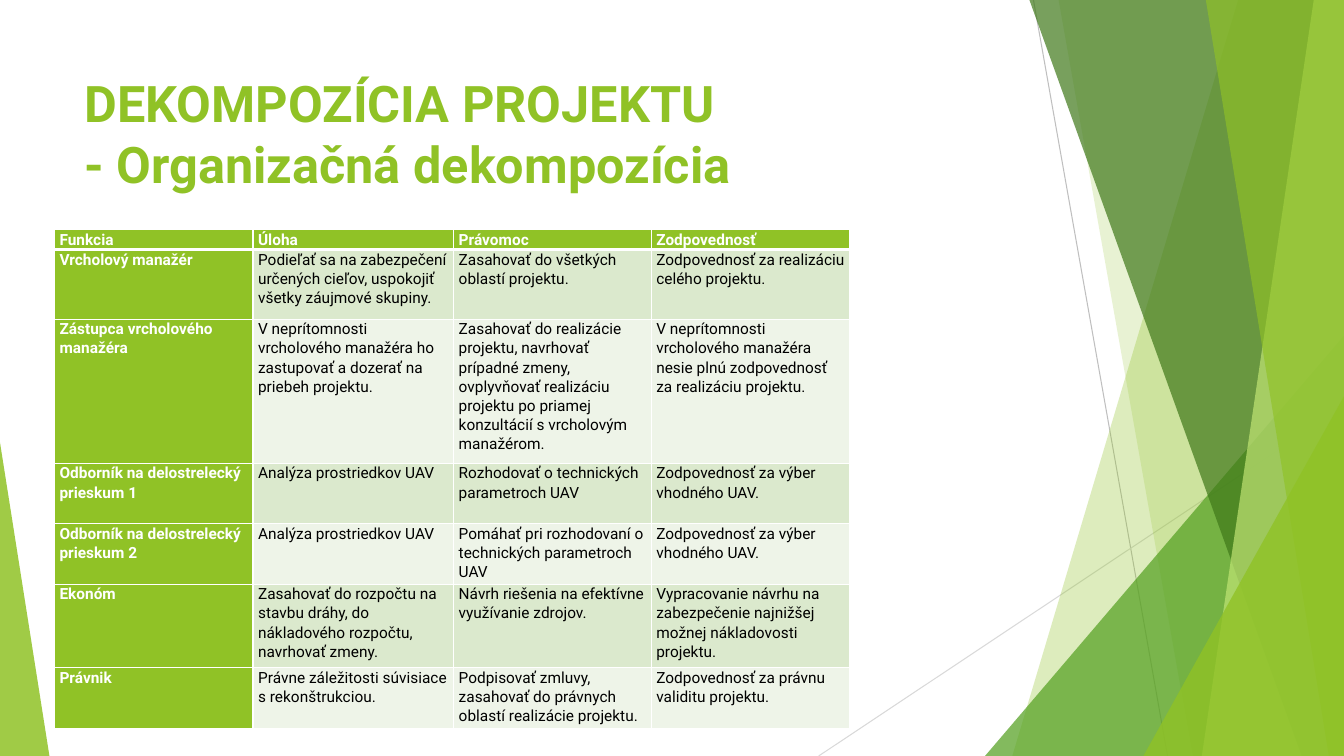
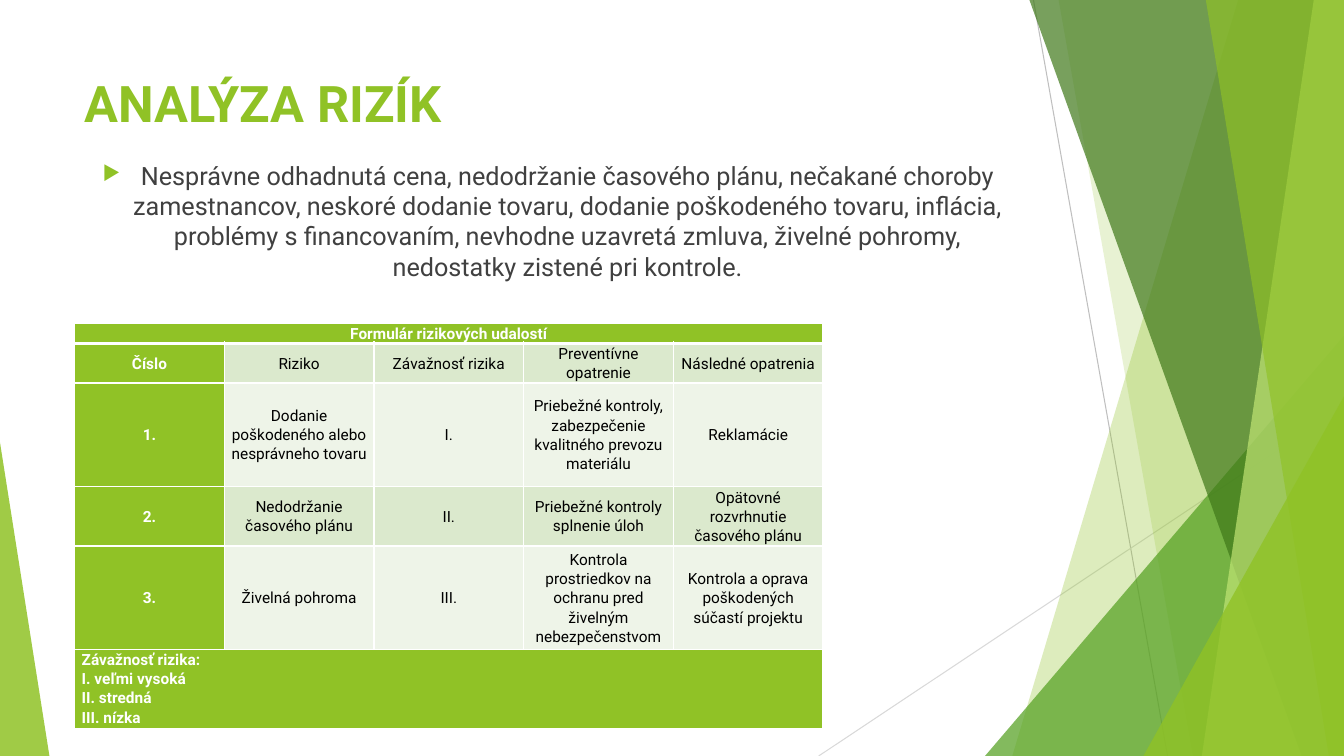
from dataclasses import dataclass

from lxml import etree
from pptx import Presentation
from pptx.dml.color import RGBColor
from pptx.enum import shapes, text
from pptx.oxml import ns
from pptx.util import Inches, Pt

FONT = "Roboto"
GREEN = RGBColor(0x90, 0xC2, 0x26)
MID_GREEN = RGBColor(0x54, 0xA0, 0x21)
DARK_GREEN = RGBColor(0x3F, 0x78, 0x19)
PALE_GREEN = RGBColor(0xC0, 0xE4, 0x74)
BANDS = (RGBColor(0xEE, 0xF4, 0xE8), RGBColor(0xDB, 0xE9, 0xCD))
WHITE = RGBColor(0xFF, 0xFF, 0xFF)
BLACK = RGBColor(0, 0, 0)
BODY_GRAY = RGBColor(0x40, 0x40, 0x40)
LINE_GRAY = RGBColor(0xBF, 0xBF, 0xBF)
LIGHT_GRAY = RGBColor(0xD9, 0xD9, 0xD9)

WIDTH, HEIGHT = 13.33, 7.5
LEFT = text.PP_ALIGN.LEFT
CENTER = text.PP_ALIGN.CENTER
TOP = text.MSO_ANCHOR.TOP
MIDDLE = text.MSO_ANCHOR.MIDDLE


@dataclass(frozen=True)
class Ray:
    start: tuple[float, float]
    end: tuple[float, float]
    color: RGBColor


@dataclass(frozen=True)
class Band:
    """A band on the right edge, given by the x of its slanted left side."""
    top_x: float
    bottom_x: float
    color: RGBColor
    alpha: int


@dataclass(frozen=True)
class Corner:
    """A triangle on the bottom edge; apex 0 is its left side, 1 its right."""
    left: float
    top: float
    width: float
    apex: float
    color: RGBColor
    alpha: int


@dataclass(frozen=True)
class TableSpec:
    left: float
    top: float
    cols: list[float]
    rows: list[float]
    cells: list[list[str]]
    margin: float
    align: text.PP_ALIGN = LEFT
    anchor: text.MSO_ANCHOR = TOP


RAYS = [
    Ray((10.25, 0), (11.58, HEIGHT), LINE_GRAY),
    Ray((WIDTH, 4.03), (8.12, HEIGHT), LIGHT_GRAY),
]
FACETS = [
    Band(12.28, 10.04, GREEN, 30),
    Band(10.5, 11.83, GREEN, 20),
    Corner(9.77, 3.33, 3.56, 1, MID_GREEN, 72),
    Band(10.21, 12.91, DARK_GREEN, 70),
    Band(13.03, 11.92, PALE_GREEN, 70),
    Band(11.96, 13.18, GREEN, 65),
    Corner(11.34, 3.93, 1.99, 1, GREEN, 80),
    Corner(0, 4.39, 0.49, 0, GREEN, 85),
]

ROLES = TableSpec(
    0.54, 2.28,
    [1.97, 1.99, 1.96, 1.97],
    [0.19, 0.69, 1.43, 0.6, 0.6, 0.83, 0.6],
    [
        ["Funkcia", "Úloha", "Právomoc", "Zodpovednosť"],
        ["Vrcholový manažér",
         "Podieľať sa na zabezpečení určených cieľov, uspokojiť všetky záujmové skupiny.",
         "Zasahovať do všetkých oblastí projektu.",
         "Zodpovednosť za realizáciu celého projektu."],
        ["Zástupca vrcholového manažéra",
         "V neprítomnosti vrcholového manažéra ho zastupovať a dozerať na priebeh projektu.",
         "Zasahovať do realizácie projektu, navrhovať prípadné zmeny, ovplyvňovať realizáciu "
         "projektu po priamej konzultácií s vrcholovým manažérom.",
         "V neprítomnosti vrcholového manažéra nesie plnú zodpovednosť za realizáciu projektu."],
        ["Odborník na delostrelecký prieskum 1",
         "Analýza prostriedkov UAV",
         "Rozhodovať o technických parametroch UAV",
         "Zodpovednosť za výber vhodného UAV."],
        ["Odborník na delostrelecký prieskum 2",
         "Analýza prostriedkov UAV",
         "Pomáhať pri rozhodovaní o technických parametroch UAV",
         "Zodpovednosť za výber vhodného UAV."],
        ["Ekonóm",
         "Zasahovať do rozpočtu na stavbu dráhy, do nákladového rozpočtu, navrhovať zmeny.",
         "Návrh riešenia na efektívne využívanie zdrojov.",
         "Vypracovanie návrhu na zabezpečenie najnižšej možnej nákladovosti projektu."],
        ["Právnik",
         "Právne záležitosti súvisiace s rekonštrukciou.",
         "Podpisovať zmluvy, zasahovať do právnych oblastí realizácie projektu.",
         "Zodpovednosť za právnu validitu projektu."],
    ],
    margin=0.05,
)

# A row with a single entry spans the whole table
RISKS = TableSpec(
    0.74, 3.21,
    [1.485] * 5,
    [0.16, 0.34, 1.03, 0.51, 1.03, 0.68],
    [
        ["Formulár rizikových udalostí"],
        ["Číslo", "Riziko", "Závažnosť rizika", "Preventívne opatrenie", "Následné opatrenia"],
        ["1.", "Dodanie poškodeného alebo nesprávneho tovaru", "I.",
         "Priebežné kontroly, zabezpečenie kvalitného prevozu materiálu", "Reklamácie"],
        ["2.", "Nedodržanie časového plánu", "II.",
         "Priebežné kontroly splnenie úloh", "Opätovné rozvrhnutie časového plánu"],
        ["3.", "Živelná pohroma", "III.",
         "Kontrola prostriedkov na ochranu pred živelným nebezpečenstvom",
         "Kontrola a oprava poškodených súčastí projektu"],
        ["Závažnosť rizika:\nI. veľmi vysoká\nII. stredná\nIII. nízka"],
    ],
    margin=0.07, align=CENTER, anchor=MIDDLE,
)

RISK_SUMMARY = (
    "Nesprávne odhadnutá cena, nedodržanie časového plánu, nečakané choroby zamestnancov, "
    "neskoré dodanie tovaru, dodanie poškodeného tovaru, inflácia, problémy s financovaním, "
    "nevhodne uzavretá zmluva, živelné pohromy, nedostatky zistené pri kontrole."
)


def add_xml(parent, tag: str, **attrs: str):
    return etree.SubElement(parent, ns.qn(tag), attrs)


# Text
def add_bullet(p) -> None:
    pPr = p._p.get_or_add_pPr()
    pPr.set("marL", str(Inches(0.38)))
    pPr.set("indent", str(-Inches(0.38)))
    add_xml(add_xml(pPr, "a:buClr"), "a:srgbClr", val=str(GREEN))
    add_xml(pPr, "a:buSzPct", val="80000")
    add_xml(pPr, "a:buChar", char="▶")


def write(tf, content: str, *, size: float, color: RGBColor, bold: bool = False,
          align: text.PP_ALIGN = LEFT, spacing: float | None = None,
          bullet: bool = False) -> None:
    tf.word_wrap = True
    for i, line in enumerate(content.split("\n")):
        p = tf.paragraphs[0] if i == 0 else tf.add_paragraph()
        p.alignment = align
        if spacing:
            p.line_spacing = spacing
        if bullet:
            add_bullet(p)
        r = p.add_run()
        r.text = line
        r.font.name = FONT
        r.font.size = Pt(size)
        r.font.bold = bold
        r.font.color.rgb = color


def add_text(slide, top: float, height: float, content: str, **style) -> None:
    box = slide.shapes.add_textbox(Inches(0.74), Inches(top), Inches(9.4), Inches(height))
    write(box.text_frame, content, **style)


# Shared decoration
def add_ray(slide, ray: Ray) -> None:
    points = [Inches(v) for v in ray.start + ray.end]
    line = slide.shapes.add_connector(shapes.MSO_CONNECTOR.STRAIGHT, *points)
    line.line.color.rgb = ray.color
    line.line.width = Pt(0.75)
    add_xml(line._element.spPr, "a:effectLst")


def add_facet(slide, facet: Band | Corner) -> None:
    if isinstance(facet, Band):
        builder = slide.shapes.build_freeform(Inches(facet.top_x), 0)
        corners = [(WIDTH, 0), (WIDTH, HEIGHT), (facet.bottom_x, HEIGHT)]
        builder.add_line_segments([(Inches(x), Inches(y)) for x, y in corners], close=True)
        sp = builder.convert_to_shape()
    else:
        sp = slide.shapes.add_shape(
            shapes.MSO_SHAPE.ISOSCELES_TRIANGLE, Inches(facet.left), Inches(facet.top),
            Inches(facet.width), Inches(HEIGHT - facet.top))
        sp.adjustments[0] = facet.apex
    sp.shadow.inherit = False
    sp.line.fill.background()
    sp.fill.solid()
    sp.fill.fore_color.rgb = facet.color
    color = sp._element.spPr.find(ns.qn("a:solidFill"))[0]
    add_xml(color, "a:alpha", val=str(facet.alpha * 1000))


def add_slide(prs, title: str):
    slide = prs.slides.add_slide(prs.slide_layouts[6])
    for ray in RAYS:
        add_ray(slide, ray)
    for facet in FACETS:
        add_facet(slide, facet)
    add_text(slide, 0.67, 1.44, title, size=36, color=GREEN, bold=True)
    return slide


# Tables
def set_borders(cell, row: int) -> None:
    tcPr = cell._tc.get_or_add_tcPr()
    thick = {0: "B", 1: "T"}.get(row)
    for side in "LRTB":
        width = Pt(3 if side == thick else 1)
        ln = add_xml(tcPr, f"a:ln{side}", w=str(width))
        add_xml(add_xml(ln, "a:solidFill"), "a:srgbClr", val=str(WHITE))


def add_table(slide, spec: TableSpec) -> None:
    n_rows, n_cols = len(spec.rows), len(spec.cols)
    frame = slide.shapes.add_table(
        n_rows, n_cols, Inches(spec.left), Inches(spec.top),
        Inches(sum(spec.cols)), Inches(sum(spec.rows)))
    table = frame.table
    table.horz_banding = False
    for column, width in zip(table.columns, spec.cols):
        column.width = Inches(width)
    for i, (height, entries) in enumerate(zip(spec.rows, spec.cells)):
        table.rows[i].height = Inches(height)
        spans = len(entries) == 1
        if spans:
            table.cell(i, 0).merge(table.cell(i, n_cols - 1))
        note = spans and i == n_rows - 1
        for j in range(n_cols):
            cell = table.cell(i, j)
            strong = i == 0 or j == 0 or spans
            set_borders(cell, i)
            cell.fill.solid()
            cell.fill.fore_color.rgb = GREEN if strong else BANDS[i % 2]
            cell.margin_left = cell.margin_right = Inches(spec.margin)
            cell.margin_top = cell.margin_bottom = 0
            cell.vertical_anchor = TOP if note else spec.anchor
            if j < len(entries):
                write(cell.text_frame, entries[j], size=11, bold=strong,
                      color=WHITE if strong else BLACK,
                      align=LEFT if note else spec.align, spacing=1.07)


def main() -> None:
    prs = Presentation()
    prs.slide_width, prs.slide_height = Inches(WIDTH), Inches(HEIGHT)

    # Organisational breakdown
    slide = add_slide(prs, "DEKOMPOZÍCIA PROJEKTU\n- Organizačná dekompozícia")
    add_table(slide, ROLES)

    # Risk analysis
    slide = add_slide(prs, "ANALÝZA RIZÍK")
    add_text(slide, 1.54, 1.39, RISK_SUMMARY, size=18, color=BODY_GRAY,
             align=CENTER, bullet=True)
    add_table(slide, RISKS)

    prs.save("out.pptx")


if __name__ == "__main__":
    main()
